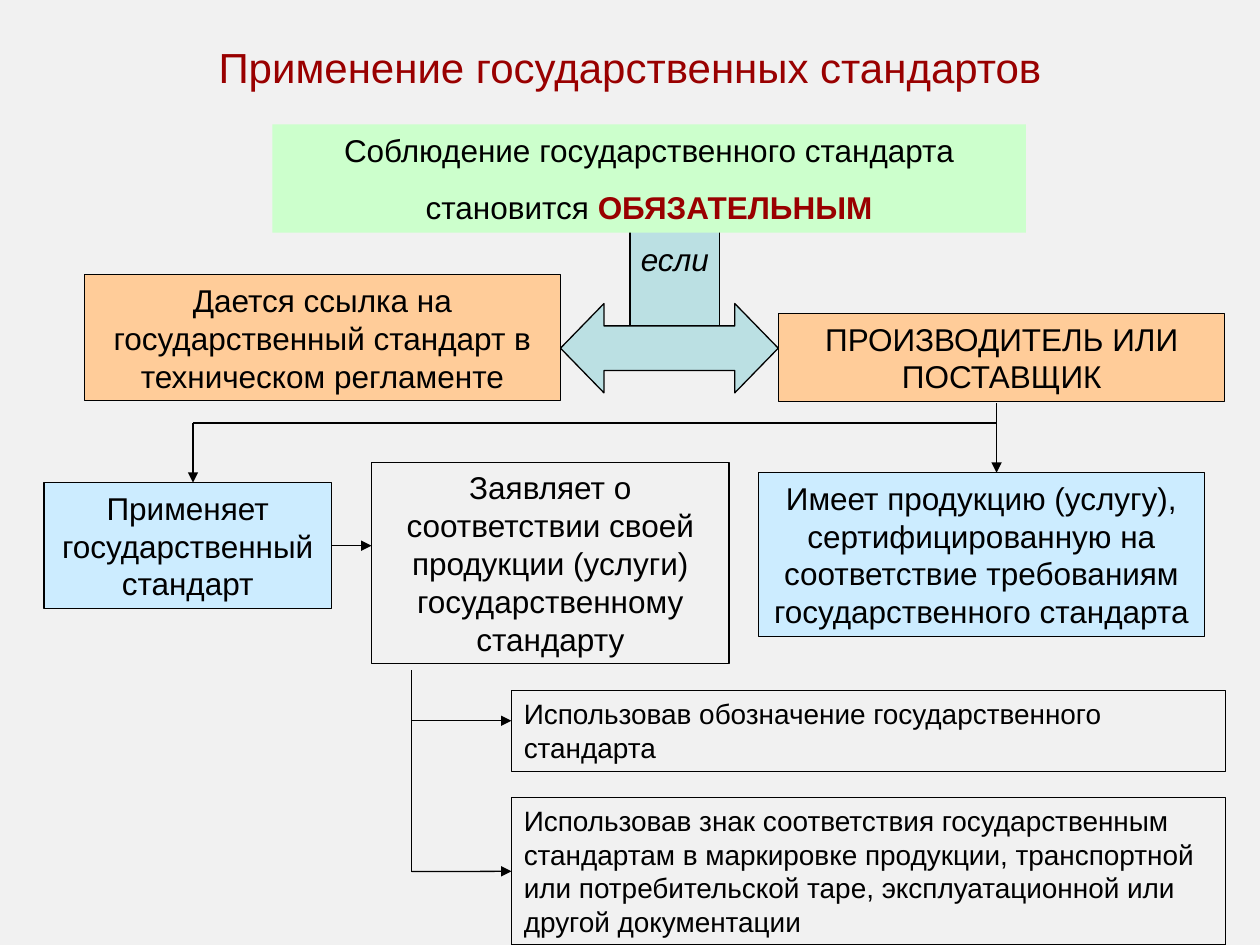
from lxml import etree
from pptx import Presentation
from pptx import util as u
from pptx.dml.color import RGBColor
from pptx.enum import shapes, text
from pptx.oxml import ns

BLACK = RGBColor(0x00, 0x00, 0x00)
DARK_RED = RGBColor(0x99, 0x00, 0x00)
PAGE_GREY = RGBColor(0xF1, 0xF1, 0xF1)
GREEN = RGBColor(0xCC, 0xFF, 0xCC)
TEAL = RGBColor(0xBB, 0xE0, 0xE3)
ORANGE = RGBColor(0xFF, 0xCC, 0x99)
BLUE = RGBColor(0xCC, 0xEC, 0xFF)

RECTANGLE = shapes.MSO_SHAPE.RECTANGLE
CENTER, LEFT = text.PP_ALIGN.CENTER, text.PP_ALIGN.LEFT
TOP, MIDDLE = text.MSO_ANCHOR.TOP, text.MSO_ANCHOR.MIDDLE

deck = Presentation()
deck.slide_width, deck.slide_height = u.Cm(25.4), u.Cm(19.05)
page = deck.slides.add_slide(deck.slide_layouts[6])
page.background.fill.solid()
page.background.fill.fore_color.rgb = PAGE_GREY


def add_box(place, fill=None, outlined=True, kind=RECTANGLE):
    box = page.shapes.add_shape(kind, *map(u.Cm, place))
    box.shadow.inherit = False
    if fill is None:
        box.fill.background()
    else:
        box.fill.solid()
        box.fill.fore_color.rgb = fill
    if outlined:
        box.line.color.rgb = BLACK
        box.line.width = u.Pt(0.75)
    else:
        box.line.fill.background()
    return box


def write(box, paragraphs, size=18, align=CENTER, anchor=TOP):
    """Each paragraph is a list of (words, font overrides) pairs."""
    frame = box.text_frame
    frame.word_wrap = True
    frame.vertical_anchor = anchor
    for number, spans in enumerate(paragraphs):
        para = frame.add_paragraph() if number else frame.paragraphs[0]
        para.alignment = align
        if number:
            para.space_before = u.Pt(11.2)
        for words, overrides in spans:
            span = para.add_run()
            span.text = words
            looks = {"name": "Arial", "size": u.Pt(size), "color": BLACK} | overrides
            span.font.color.rgb = looks.pop("color")
            for name, value in looks.items():
                setattr(span.font, name, value)


add_box((12.7, 4.52, 1.8, 2.21), TEAL)

title = page.shapes.add_textbox(*map(u.Cm, (1.27, 0.76, 22.86, 1.17)))
write(title, [[("Применение государственных стандартов", {"color": DARK_RED})]],
      size=24, anchor=MIDDLE)

rule = add_box((5.49, 2.51, 15.19, 2.18), GREEN, outlined=False)
write(rule, [
    [("Соблюдение государственного стандарта", {})],
    [("становится ", {}), ("ОБЯЗАТЕЛЬНЫМ", {"color": DARK_RED, "bold": True})],
])

condition = page.shapes.add_textbox(*map(u.Cm, (12.5, 4.72, 2.21, 1.02)))
write(condition, [[("если", {"italic": True})]])

# name: (place, fill, size, alignment, words)
steps = {
    "reference": ((1.7, 5.54, 9.6, 2.54), ORANGE, 18, CENTER,
                  "Дается ссылка на государственный стандарт в техническом регламенте"),
    "maker": ((15.7, 6.32, 8.99, 1.78), ORANGE, 18, CENTER,
              "ПРОИЗВОДИТЕЛЬ ИЛИ ПОСТАВЩИК"),
    "applies": ((0.89, 9.73, 5.79, 2.54), BLUE, 18, CENTER,
                "Применяет государственный стандарт"),
    "declares": ((7.49, 9.32, 7.21, 4.06), None, 18, CENTER,
                 "Заявляет о соответствии своей продукции (услуги) "
                 "государственному стандарту"),
    "certified": ((15.29, 9.53, 8.99, 3.3), BLUE, 18, CENTER,
                  "Имеет продукцию (услугу), сертифицированную на соответствие "
                  "требованиям государственного стандарта"),
    "designation": ((10.31, 13.92, 14.4, 1.63), None, 16, LEFT,
                    "Использовав обозначение государственного стандарта"),
    "mark": ((10.31, 16.08, 14.4, 2.97), None, 16, LEFT,
             "Использовав знак соответствия государственным стандартам в маркировке "
             "продукции, транспортной или потребительской таре, эксплуатационной "
             "или другой документации"),
}
boxes = {}
for name, (place, fill, size, align, words) in steps.items():
    boxes[name] = add_box(place, fill)
    write(boxes[name], [[(words, {})]], size, align)

fork = add_box((11.3, 6.12, 4.39, 1.8), TEAL, kind=shapes.MSO_SHAPE.LEFT_RIGHT_ARROW)
fork.adjustments[0], fork.adjustments[1] = 0.5, 0.487

# (from x, from y, to x, to y, arrowhead, joined start, joined end)
branch_y, left_x, right_x, trunk_x = 8.53, 3.89, 20.09, 8.3
lines = [
    (6.68, 11, 7.49, 11, True, ("applies", 3), None),
    (left_x, branch_y, left_x, 9.73, True, None, None),
    (right_x, 8.13, right_x, 9.53, True, None, None),
    (left_x, branch_y, right_x, branch_y, False, None, None),
    (trunk_x, 13.51, trunk_x, 17.57, False, None, None),
    (trunk_x, 14.53, 10.31, 14.53, True, None, None),
    (trunk_x, 17.57, 10.31, 17.57, True, None, ("mark", 1)),
]
for *ends, arrowhead, start, finish in lines:
    line = page.shapes.add_connector(shapes.MSO_CONNECTOR.STRAIGHT, *map(u.Cm, ends))
    line.line.color.rgb = BLACK
    line.line.width = u.Pt(0.75)
    if start:
        line.begin_connect(boxes[start[0]], start[1])
    if finish:
        line.end_connect(boxes[finish[0]], finish[1])
    if arrowhead:
        etree.SubElement(line.line._get_or_add_ln(), ns.qn("a:tailEnd"), type="triangle")
    etree.SubElement(line._element.spPr, ns.qn("a:effectLst"))

deck.save("out.pptx")
